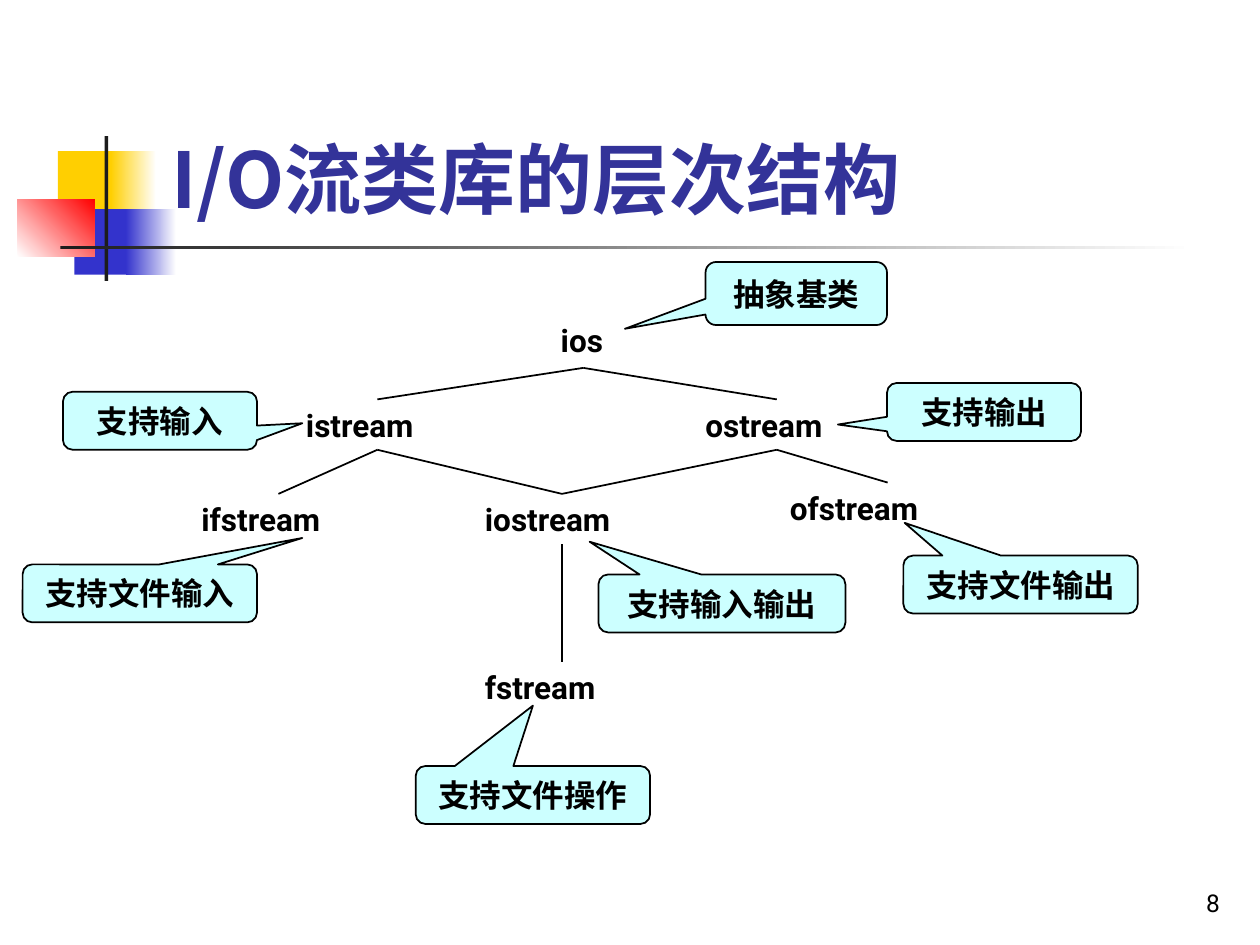
from dataclasses import dataclass

from lxml.etree import SubElement
from pptx import Presentation
from pptx.dml.color import RGBColor
from pptx.enum.shapes import MSO_CONNECTOR, MSO_SHAPE
from pptx.enum.text import MSO_ANCHOR, PP_ALIGN
from pptx.oxml.ns import qn
from pptx.util import Inches, Pt


@dataclass(frozen=True)
class Theme:
    latin: str = "Roboto"
    cjk: str = "Noto Sans CJK SC"
    title_size: int = 44
    body_size: int = 18
    number_size: int = 14
    title: str = "333399"
    ink: str = "000000"
    bar: str = "1C1C1C"
    yellow: str = "FFCF01"
    blue: str = "3333CC"
    red: str = "FF0000"
    white: str = "FFFFFF"
    callout: str = "CCFFFF"


@dataclass(frozen=True)
class Box:
    left: float
    top: float
    width: float
    height: float

    def inner(self, left, top, width, height):
        """Box placed relative to this one."""
        return Box(self.left + left, self.top + top, width, height)

    @property
    def center(self):
        return self.left + self.width / 2

    @property
    def bottom(self):
        return self.top + self.height

    def emu(self):
        return [Inches(v) for v in (self.left, self.top, self.width, self.height)]


THEME = Theme()

# Class: left, top, width, height inside the hierarchy
CLASSES = {
    "ios": (4.17, 0.5, 0.92, 0.42),
    "istream": (2.33, 1.17, 1.33, 0.4),
    "ostream": (5.5, 1.17, 1.33, 0.4),
    "ifstream": (1.5, 1.92, 1.42, 0.4),
    "iostream": (3.75, 1.92, 1.42, 0.4),
    "ofstream": (6.17, 1.83, 1.75, 0.4),
    "fstream": (3.75, 3.25, 1.42, 0.4),
}
INHERITANCE = [
    ("ios", "istream"), ("ios", "ostream"),
    ("istream", "ifstream"), ("istream", "iostream"),
    ("ostream", "iostream"), ("ostream", "ofstream"),
    ("iostream", "fstream"),
]
# Note, its box, and the point its tail reaches
NOTES = [
    ("抽象基类", (5.6, 0.08, 1.44, 0.5), (4.96, 0.61)),
    ("支持输出", (7.04, 1.04, 1.54, 0.46), (6.65, 1.37)),
    ("支持输入", (0.5, 1.11, 1.54, 0.46), (2.4, 1.36)),
    ("支持输入输出", (4.75, 2.56, 1.96, 0.46), (4.68, 2.3)),
    ("支持文件输入", (0.18, 2.48, 1.86, 0.46), (2.4, 2.27)),
    ("支持文件输出", (7.17, 2.41, 1.86, 0.46), (7.18, 2.15)),
    ("支持文件操作", (3.3, 4.08, 1.86, 0.46), (4.23, 3.6)),
]


def color(value):
    return RGBColor.from_string(value)


def write(shape, text, size, ink=THEME.ink, latin=THEME.latin, bold=True,
          align=PP_ALIGN.LEFT, anchor=MSO_ANCHOR.TOP):
    frame = shape.text_frame
    frame.word_wrap = True
    frame.vertical_anchor = anchor
    paragraph = frame.paragraphs[0]
    paragraph.text = text
    paragraph.alignment = align
    font = paragraph.font
    font.name, font.size, font.bold = latin, Pt(size), bold
    font.color.rgb = color(ink)
    # East Asian typeface
    SubElement(paragraph._p.pPr.find(qn("a:defRPr")), qn("a:ea"), typeface=THEME.cjk)
    return frame


def add_bar(slide, box, start, end=None, angle=0):
    bar = slide.shapes.add_shape(MSO_SHAPE.RECTANGLE, *box.emu())
    bar.shadow.inherit = False
    bar.line.fill.background()
    if end is None:
        bar.fill.solid()
        bar.fill.fore_color.rgb = color(start)
        return
    bar.fill.gradient()
    bar.fill.gradient_angle = angle
    for stop, shade in zip(bar.fill.gradient_stops, (start, end)):
        stop.color.rgb = color(shade)


def add_ornament(slide, box):
    t = THEME
    add_bar(slide, box.inner(0.32, 0.12, 0.48, 0.52), t.yellow)
    add_bar(slide, box.inner(0.74, 0.12, 0.36, 0.52), t.yellow, t.white)
    add_bar(slide, box.inner(0.45, 0.58, 0.46, 0.52), t.blue)
    add_bar(slide, box.inner(0.86, 0.58, 0.4, 0.52), t.blue, t.white)
    add_bar(slide, box.inner(0, 0.5, 0.61, 0.46), t.white, t.red, angle=45)
    add_bar(slide, box.inner(0.69, 0, 0.03, box.height), t.bar)
    add_bar(slide, box.inner(0.34, 0.87, 9, 0.03), t.bar, t.white)


def add_title(slide, box):
    write(slide.shapes.add_textbox(*box.emu()), "I/O流类库的层次结构", THEME.title_size,
          THEME.title, THEME.cjk, anchor=MSO_ANCHOR.BOTTOM)


def add_slide_number(slide, box):
    write(slide.shapes.add_textbox(*box.emu()), "8", THEME.number_size, bold=False,
          align=PP_ALIGN.RIGHT, anchor=MSO_ANCHOR.BOTTOM)


def add_link(slide, parent, child):
    link = slide.shapes.add_connector(
        MSO_CONNECTOR.STRAIGHT, Inches(parent.center), Inches(parent.bottom),
        Inches(child.center), Inches(child.top))
    link.line.color.rgb = color(THEME.ink)
    link.line.width = Pt(1)
    SubElement(link._element.spPr, qn("a:effectLst"))


def add_note(slide, box, text, tip_x, tip_y):
    note = slide.shapes.add_shape(MSO_SHAPE.ROUNDED_RECTANGULAR_CALLOUT, *box.emu())
    note.shadow.inherit = False
    note.fill.solid()
    note.fill.fore_color.rgb = color(THEME.callout)
    note.line.color.rgb = color(THEME.ink)
    note.line.width = Pt(1)
    # Tail position as a share of the box, measured from its centre
    note.adjustments[0] = (tip_x - box.left) / box.width - 0.5
    note.adjustments[1] = (tip_y - box.top) / box.height - 0.5
    write(note, text, THEME.body_size, align=PP_ALIGN.CENTER, anchor=MSO_ANCHOR.MIDDLE)


def add_hierarchy(slide, box):
    nodes = {name: box.inner(*place) for name, place in CLASSES.items()}
    for name, node in nodes.items():
        frame = write(slide.shapes.add_textbox(*node.emu()), name, THEME.body_size)
        if name == "ios":
            frame.margin_left = Inches(0.28)
    for parent, child in INHERITANCE:
        add_link(slide, nodes[parent], nodes[child])
    for text, place, (tip_x, tip_y) in NOTES:
        add_note(slide, box.inner(*place), text, box.left + tip_x, box.top + tip_y)


def main():
    deck = Presentation()
    deck.slide_width, deck.slide_height = Inches(10), Inches(7.5)
    slide = deck.slides.add_slide(deck.slide_layouts[6])
    add_ornament(slide, Box(0.14, 1.08, 9.34, 1.15))
    add_slide_number(slide, Box(7.7, 6.83, 2.08, 0.5))
    add_title(slide, Box(1.26, 0.23, 8.52, 1.6))
    add_hierarchy(slide, Box(0, 2, 10, 4.6))
    deck.save("out.pptx")


if __name__ == "__main__":
    main()
